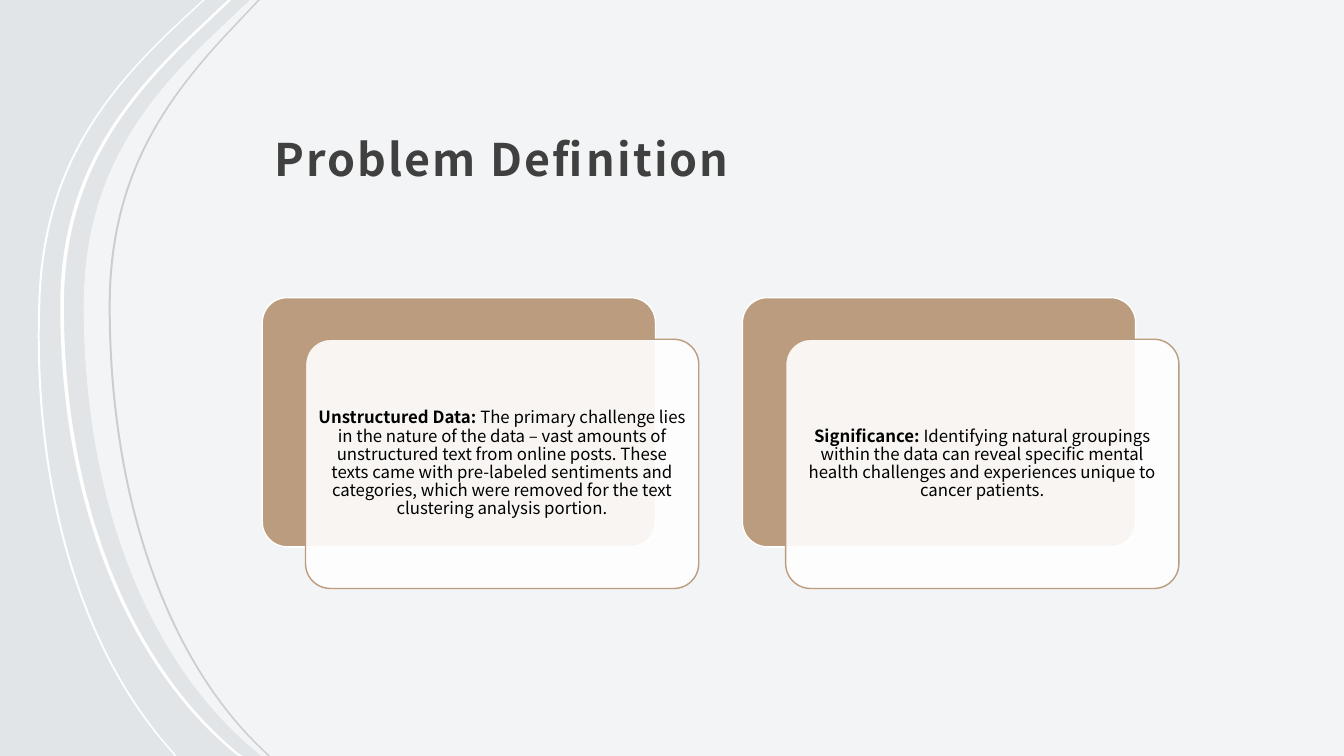
from lxml import etree
from pptx import Presentation
from pptx.dml.color import RGBColor
from pptx.enum.shapes import MSO_SHAPE
from pptx.enum.text import MSO_ANCHOR, PP_ALIGN
from pptx.oxml.ns import qn
from pptx.util import Cm, Pt

ROUNDED = MSO_SHAPE.ROUNDED_RECTANGLE
MIDDLE, BOTTOM = MSO_ANCHOR.MIDDLE, MSO_ANCHOR.BOTTOM
LEFT, CENTER = PP_ALIGN.LEFT, PP_ALIGN.CENTER

FONT = "Noto Sans CJK JP"
MIST = RGBColor(0xE2, 0xE5, 0xE8)
WHITE = RGBColor(0xFF, 0xFF, 0xFF)
SILVER = RGBColor(0xC8, 0xCE, 0xD4)
TAN = RGBColor(0xBB, 0x9C, 0x7E)
CHARCOAL = RGBColor(0x40, 0x40, 0x40)
BLACK = RGBColor(0x00, 0x00, 0x00)

# All positions are in centimetres
SLIDE_W, SLIDE_H = 33.87, 19.05
CARD_W, CARD_H = 9.91, 6.28
CARD_LEFT, CARD_TOP, CARD_STEP = 6.61, 7.5, 12.1
FRONT_DX, FRONT_DY = 1.09, 1.05
TEXT_INSET = 0.19

# Each edge: top point, then two joined Bezier curves (7 points), then bottom point
PANEL_EDGE = [(6.3, 0), (5.36, 0.89), (3.53, 2.64), (2.11, 4.55), (2.11, 7.72),
              (2.11, 12.5), (3.68, 16.69), (6.53, 19), (6.58, SLIDE_H)]
EDGE_CURVES = [2, 5]  # first control point of each curve
RIBBONS = [
    ([(5.11, 0), (4.45, 0.61), (2.59, 2.36), (1.09, 4.27), (0.97, 7.54),
      (0.79, 12.19), (1.98, 16.38), (4.34, 18.97), (4.39, SLIDE_H)], 0.05, WHITE),
    ([(5.74, 0), (4.8, 0.89), (2.97, 2.64), (1.52, 4.55), (1.52, 7.72),
      (1.52, 12.5), (3.12, 16.69), (5.94, 19), (6.02, SLIDE_H)], 0.09, WHITE),
    ([(6.5, 0), (5.66, 0.89), (4.04, 2.64), (2.74, 4.55), (2.74, 7.72),
      (2.74, 12.5), (4.17, 16.69), (6.71, 19), (6.76, SLIDE_H)], 0.05, SILVER),
]

CARDS = [
    ("Unstructured Data: ",
     "The primary challenge lies in the nature of the data – vast amounts of "
     "unstructured text from online posts. These texts came with pre-labeled "
     "sentiments and categories, which were removed for the text clustering "
     "analysis portion."),
    ("Significance: ",
     "Identifying natural groupings within the data can reveal specific mental "
     "health challenges and experiences unique to cancer patients."),
]


def paint(shape, fill, alpha=100, line=None):
    shape.shadow.inherit = False
    shape.fill.solid()
    shape.fill.fore_color.rgb = fill
    if alpha < 100:
        color = shape._element.spPr.find(qn("a:solidFill")).find(qn("a:srgbClr"))
        etree.SubElement(color, qn("a:alpha")).set("val", str(alpha * 1000))
    if line is None:
        shape.line.fill.background()
    else:
        shape.line.color.rgb = line
        shape.line.width = Pt(1)


def bend(shape, curve_starts):
    """Turn the three segments from each start into one Bezier curve."""
    segments = list(shape._element.iter(qn("a:lnTo")))
    for start in curve_starts:
        curve = etree.Element(qn("a:cubicBezTo"))
        segments[start - 1].addprevious(curve)
        for segment in segments[start - 1:start + 2]:
            curve.append(segment[0])
            segment.getparent().remove(segment)


def add_outline(slide, points, curve_starts, fill, alpha=100):
    corners = [(Cm(x), Cm(y)) for x, y in points]
    builder = slide.shapes.build_freeform(*corners[0])
    builder.add_line_segments(corners[1:], close=True)
    outline = builder.convert_to_shape()
    bend(outline, curve_starts)
    paint(outline, fill, alpha)


def add_ribbon(slide, edge, width, color):
    far_edge = [(x + width, y) for x, y in reversed(edge)]
    far_curves = [len(edge) + start for start in EDGE_CURVES]
    add_outline(slide, edge + far_edge, EDGE_CURVES + far_curves, color)


def add_text(slide, box, runs, size, color, anchor, align, spacing, inset, tracking=0):
    frame = slide.shapes.add_textbox(*map(Cm, box)).text_frame
    frame.word_wrap = True
    frame.vertical_anchor = anchor
    frame.margin_left = frame.margin_right = Cm(inset)
    frame.margin_top = frame.margin_bottom = Cm(inset)
    paragraph = frame.paragraphs[0]
    paragraph.alignment = align
    paragraph.line_spacing = spacing
    for words, bold in runs:
        run = paragraph.add_run()
        run.text = words
        run.font.name = FONT
        run.font.size = Pt(size)
        run.font.bold = bold
        run.font.color.rgb = color
        if tracking:
            run.font._element.set("spc", str(tracking))


def add_panel(slide, left, top, fill, alpha, line):
    panel = slide.shapes.add_shape(ROUNDED, Cm(left), Cm(top), Cm(CARD_W), Cm(CARD_H))
    panel.adjustments[0] = 0.1
    paint(panel, fill, alpha, line)


def add_card(slide, left, heading, body):
    front_left, front_top = left + FRONT_DX, CARD_TOP + FRONT_DY
    add_panel(slide, left, CARD_TOP, TAN, 100, WHITE)
    add_panel(slide, front_left, front_top, WHITE, 90, TAN)
    text_box = (front_left + TEXT_INSET, front_top + TEXT_INSET,
                CARD_W - 2 * TEXT_INSET, CARD_H - 2 * TEXT_INSET)
    add_text(slide, text_box, [(heading, True), (body, False)], 12, BLACK,
             MIDDLE, CENTER, 0.9, 0.13)


def main():
    deck = Presentation()
    deck.slide_width, deck.slide_height = Cm(SLIDE_W), Cm(SLIDE_H)
    slide = deck.slides.add_slide(deck.slide_layouts[6])
    slide.background.fill.solid()
    slide.background.fill.fore_color.rgb = MIST

    # Curved backdrop
    right_side = [(SLIDE_W, SLIDE_H), (SLIDE_W, 0)]
    add_outline(slide, PANEL_EDGE + right_side, EDGE_CURVES, WHITE, 60)
    for edge, width, color in RIBBONS:
        add_ribbon(slide, edge, width, color)

    # Title
    add_text(slide, (6.61, 1.24, 23.32, 3.73), [("Problem Definition", True)], 32,
             CHARCOAL, BOTTOM, LEFT, 1.3, 0.3, tracking=150)

    # Cards
    for index, (heading, body) in enumerate(CARDS):
        add_card(slide, CARD_LEFT + index * CARD_STEP, heading, body)

    deck.save("out.pptx")


if __name__ == "__main__":
    main()
